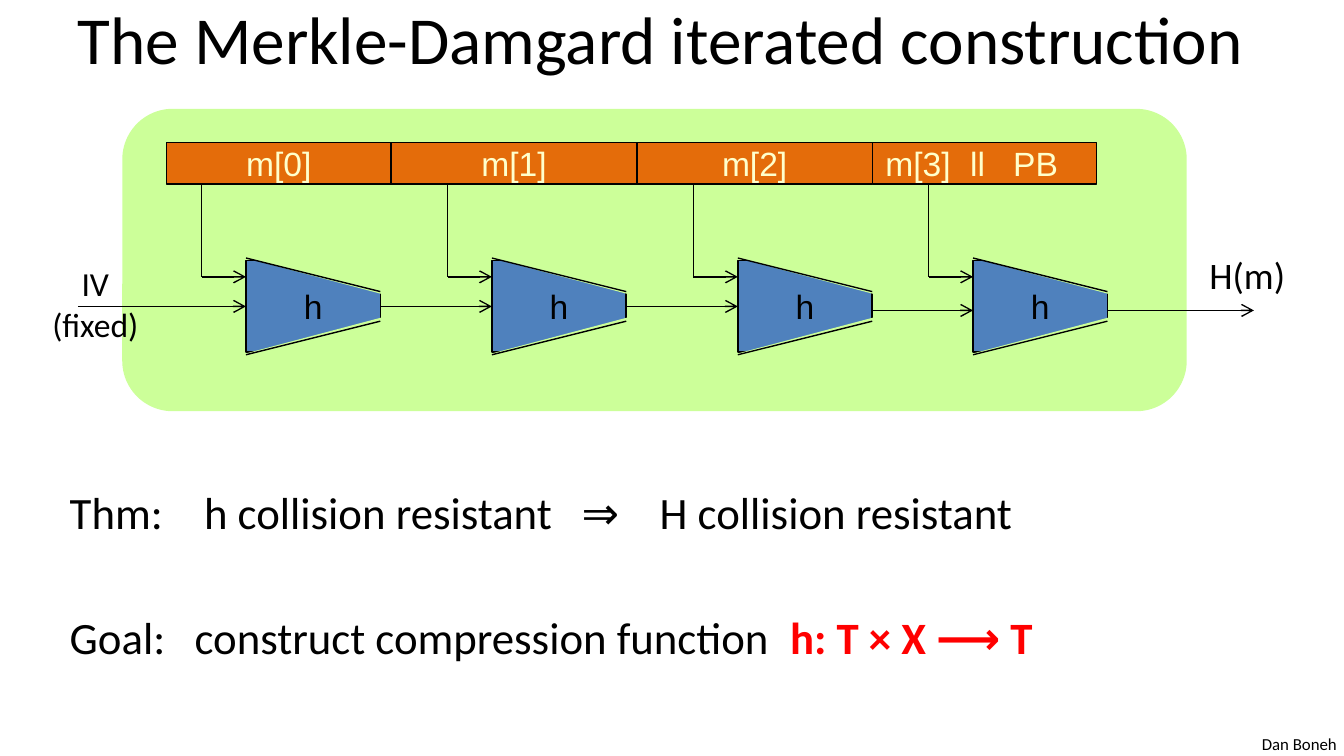
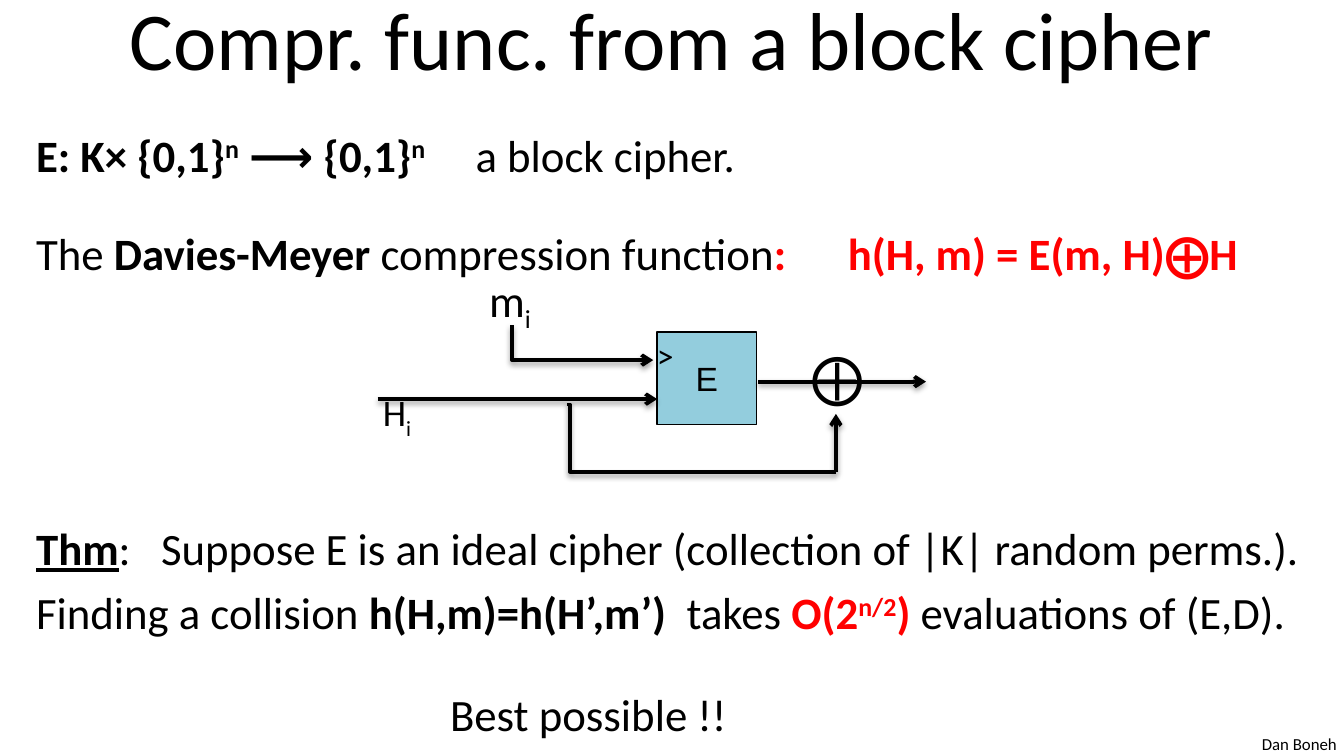
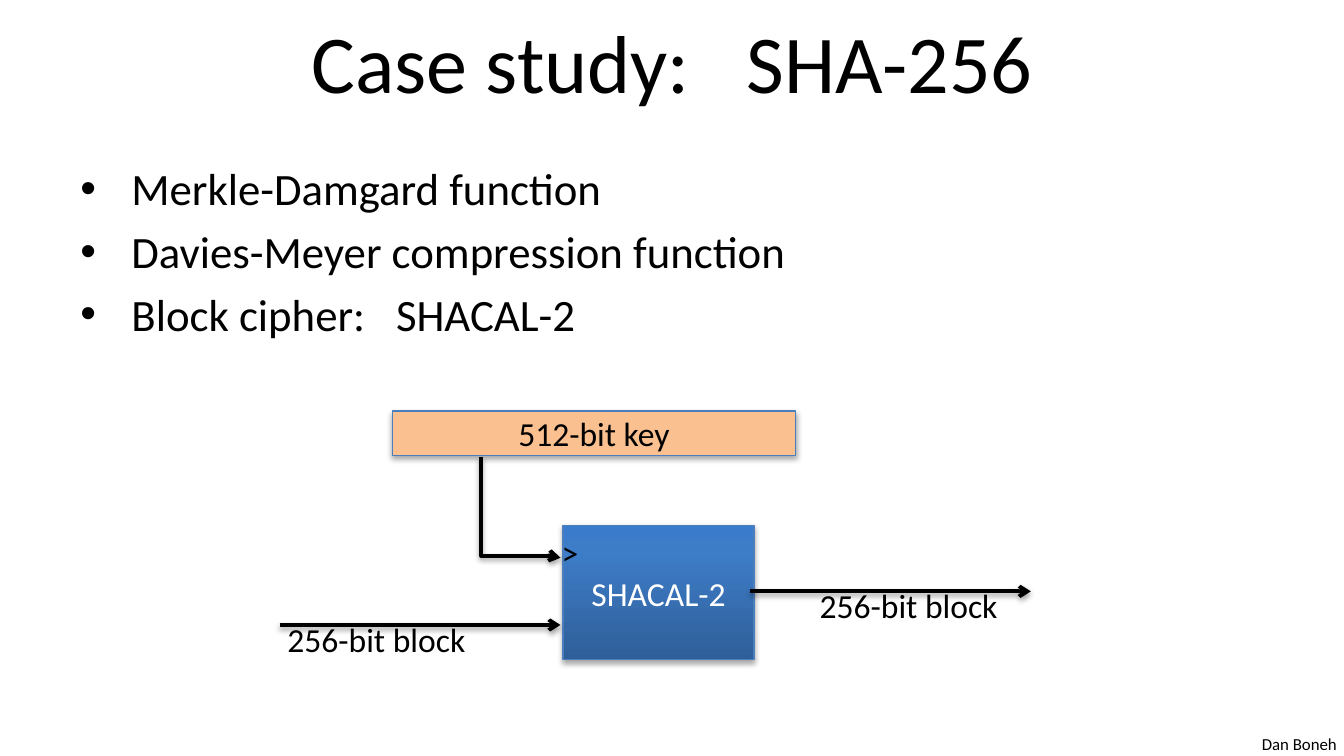
from copy import deepcopy
from dataclasses import dataclass
from itertools import accumulate
from typing import NamedTuple, Optional

from lxml.etree import SubElement
from pptx import Presentation
from pptx.dml.color import RGBColor
from pptx.enum.shapes import MSO_CONNECTOR as Link, MSO_SHAPE as Preset
from pptx.enum.text import MSO_ANCHOR as Anchor, MSO_AUTO_SIZE as AutoSize, PP_ALIGN as Align
from pptx.oxml.ns import qn
from pptx.util import Inches, Pt

COLORS = {
    "black": "000000", "white": "FFFFFF", "red": "FF0000",
    "panel": "CCFF99", "compress": "4F81BD", "message": "E46C0A", "cream": "FFFFCC",
    "cipher": "93CDDD", "key": "FAC090", "outline": "4B7EBC",
    "shade_low": "2F5F99", "shade_mid": "3D7CC7", "shade_high": "3A7CCB",
}
CIPHER_GRADIENT = [(0, "shade_low"), (0.8, "shade_mid"), (1, "shade_high")]
BODY_FONT, DIAGRAM_FONT = "Calibri", "Arial"
BODY_SIZE = 24


class Frame(NamedTuple):
    left: float
    top: float
    width: float
    height: float


class Point(NamedTuple):
    x: float
    y: float


class Span(NamedTuple):
    text: str
    bold: bool = False
    color: str = ""
    underline: bool = False
    shift: int = 0  # baseline shift in percent
    tracking: float = 0  # extra letter spacing in points


@dataclass
class Line:
    spans: list[Span]
    before: float = 0
    align: Align = Align.LEFT
    tabs: tuple[float, ...] = ()
    bullet: bool = False


@dataclass
class TextStyle:
    size: float = 18
    font: str = BODY_FONT
    color: str = "black"
    anchor: Anchor = Anchor.TOP
    wrap: bool = False


@dataclass
class BoxStyle:
    fill: str
    outline: Optional[str] = "black"
    shadow: bool = False


BODY = TextStyle(BODY_SIZE, wrap=True)


def rgb(name: str) -> RGBColor:
    return RGBColor.from_string(COLORS[name])


def plain(text: str, align: Align = Align.LEFT) -> list[Line]:
    return [Line([Span(text)], align=align)]


# Text
def add_tabs(props, stops: tuple[float, ...]) -> None:
    tab_list = SubElement(props, qn("a:tabLst"))
    for stop in stops:
        SubElement(tab_list, qn("a:tab"), pos=str(Inches(stop)), algn="l")


def add_bullet(props) -> None:
    indent = Inches(0.38)
    props.set("marL", str(indent))
    props.set("indent", str(-indent))
    SubElement(props, qn("a:buFont"), typeface="Arial")
    SubElement(props, qn("a:buChar"), char="•")


def write(frame, lines: list[Line], style: TextStyle) -> None:
    frame.word_wrap = style.wrap
    frame.vertical_anchor = style.anchor
    for index, line in enumerate(lines):
        para = frame.add_paragraph() if index else frame.paragraphs[0]
        para.alignment = line.align
        props = para._p.get_or_add_pPr()
        if line.bullet:
            add_bullet(props)
        if line.tabs:
            add_tabs(props, line.tabs)
        para.space_before = Pt(line.before)
        for part in line.spans:
            span = para.add_run()
            span.text = part.text
            span.font.name = style.font
            span.font.size = Pt(style.size)
            span.font.bold = part.bold
            span.font.underline = part.underline
            span.font.color.rgb = rgb(part.color or style.color)
            if part.shift:
                span._r.get_or_add_rPr().set("baseline", str(part.shift * 1000))
            if part.tracking:
                span._r.get_or_add_rPr().set("spc", str(round(part.tracking * 100)))


def add_text(page, area: Frame, lines: list[Line], style: TextStyle) -> None:
    box = page.shapes.add_textbox(*map(Inches, area))
    write(box.text_frame, lines, style)
    box.text_frame.auto_size = AutoSize.NONE if style.wrap else AutoSize.SHAPE_TO_FIT_TEXT


# Shapes and connectors
def set_effects(item, shadow: bool, opacity: int = 38) -> None:
    effects = item._element.spPr.find(qn("a:effectLst"))
    if effects is None:
        effects = SubElement(item._element.spPr, qn("a:effectLst"))
    if shadow:
        outer = SubElement(effects, qn("a:outerShdw"), blurRad=str(Pt(3.1)), dist=str(Pt(1.6)),
                           dir="5400000", rotWithShape="0")
        color = SubElement(outer, qn("a:srgbClr"), val=COLORS["black"])
        SubElement(color, qn("a:alpha"), val=str(opacity * 1000))


def add_box(page, area: Frame, style: BoxStyle, preset: Preset = Preset.RECTANGLE):
    box = page.shapes.add_shape(preset, *map(Inches, area))
    box.shadow.inherit = False
    box.fill.solid()
    box.fill.fore_color.rgb = rgb(style.fill)
    if style.outline:
        box.line.color.rgb = rgb(style.outline)
        box.line.width = Pt(0.75)
    else:
        box.line.fill.background()
    set_effects(box, style.shadow, 35)
    return box


def add_label_box(page, area: Frame, text: str, style: BoxStyle, font: str = DIAGRAM_FONT,
                  color: str = "black"):
    box = add_box(page, area, style)
    write(box.text_frame, plain(text, Align.CENTER),
          TextStyle(font=font, color=color, anchor=Anchor.MIDDLE))
    return box


def finish_line(line, width: float, arrow: bool, shadow: bool) -> None:
    line.line.color.rgb = rgb("black")
    line.line.width = Pt(width)
    if arrow:
        SubElement(line.line._get_or_add_ln(), qn("a:tailEnd"), type="arrow")
    set_effects(line, shadow)


def add_line(page, start: Point, end: Point, arrow: bool = False, heavy: bool = False):
    line = page.shapes.add_connector(Link.STRAIGHT, *map(Inches, start + end))
    finish_line(line, 2 if heavy else 0.75, arrow, heavy)
    return line


def add_elbow(page, start: Point, end: Point, bend: Optional[float] = None,
              downward: bool = False, arrow: bool = False) -> None:
    """A bend of None makes a single corner; downward leaves the start vertically."""
    if downward:  # a quarter turn about the centre swaps width and height
        mid = Point((start.x + end.x) / 2, (start.y + end.y) / 2)
        half = Point((end.y - start.y) / 2, (end.x - start.x) / 2)
        start = Point(mid.x - half.x, mid.y - half.y)
        end = Point(mid.x + half.x, mid.y + half.y)
    line = page.shapes.add_connector(Link.ELBOW, *map(Inches, start + end))
    props = line._element.spPr
    if downward:
        transform = props.find(qn("a:xfrm"))
        transform.set("rot", "16200000")
        transform.set("flipH", "1")
    geometry = props.find(qn("a:prstGeom"))
    if bend is None:
        geometry.set("prst", "bentConnector2")
    else:
        SubElement(geometry.find(qn("a:avLst")), qn("a:gd"), name="adj1",
                   fmla=f"val {round(bend * 100000)}")
    finish_line(line, 2, arrow, True)


# Shared slide parts
def add_page(deck, title: list[Span], area: Frame, size: float = 44):
    page = deck.slides.add_slide(deck.slide_layouts[6])
    add_text(page, Frame(9.29, 5.41, 0.76, 0.25), plain("Dan Boneh"), TextStyle(9))
    add_text(page, area, [Line(title, align=Align.CENTER)],
             TextStyle(size, anchor=Anchor.MIDDLE, wrap=True))
    return page


# Slide 1: chain of compression functions
def cut_corner(page, left: float, lower: bool) -> None:
    """Trims a compression box to a trapezoid, with a sloping edge."""
    mask = add_box(page, Frame(left, 2.32 if lower else 1.92, 1.17, 0.31),
                   BoxStyle("panel", None), Preset.RIGHT_TRIANGLE)
    transform = mask._element.spPr.find(qn("a:xfrm"))
    transform.set("flipH", "1")
    if not lower:
        transform.set("flipV", "1")
    outer, inner = (2.64, 2.39) if lower else (1.92, 2.17)
    add_line(page, Point(left, outer), Point(left + 1, inner))


def build_iteration(deck) -> None:
    page = add_page(deck, [Span("The Merkle-Damgard iterated construction")],
                    Frame(0.08, -0.19, 9.67, 0.94), 36)
    add_text(page, Frame(0.42, 3.56, 8.92, 1.5), [
        Line([Span("Thm:\th collision resistant\t⇒\tH collision resistant")],
             tabs=(1.0, 3.81, 4.39)),
        Line([Span("Goal:\tconstruct compression function\t"),
              Span("h: T × X ⟶ T", bold=True, color="red")], before=38, tabs=(0.93, 5.36)),
    ], BODY)
    add_box(page, Frame(0.91, 0.81, 7.92, 2.25), BoxStyle("panel", None),
            Preset.ROUNDED_RECTANGLE)

    stage_lefts = [1.83, 3.66, 5.49, 7.24]
    stages = [add_label_box(page, Frame(left, 1.94, 1, 0.68), "h", BoxStyle("compress"))
              for left in stage_lefts]

    # Message blocks
    widths = [1.67, 1.83, 1.75, 1.67]
    block_lefts = list(accumulate(widths[:-1], initial=1.24))
    blocks = [Frame(left, 1.06, width, 0.31) for left, width in zip(block_lefts, widths)]
    for index, area in enumerate(blocks[:-1]):
        add_label_box(page, area, f"m[{index}]", BoxStyle("message"), color="cream")
    last = add_box(page, blocks[-1], BoxStyle("message"))
    write(last.text_frame, [Line([Span("m[3]\tll\tPB")], tabs=(0.63, 0.95))],
          TextStyle(font=DIAGRAM_FONT, color="cream", anchor=Anchor.MIDDLE, wrap=True))

    # Inputs, chaining values and output
    first_input = add_line(page, Point(0.58, 2.28), Point(1.83, 2.28), arrow=True)
    first_input.end_connect(stages[0], 1)
    add_text(page, Frame(0.28, 1.91, 0.86, 0.71),
             plain("IV", Align.CENTER) + plain("(fixed)", Align.CENTER), TextStyle())
    for left in stage_lefts:
        corner = Point(left - 0.33, 2.06)
        add_line(page, Point(corner.x, 1.38), corner)
        add_line(page, corner, Point(left, corner.y), arrow=True)
    for index in range(2):
        link = add_line(page, Point(stage_lefts[index] + 1, 2.28),
                        Point(stage_lefts[index + 1], 2.28), arrow=True)
        link.begin_connect(stages[index], 3)
        link.end_connect(stages[index + 1], 1)
    for start, end in [(6.49, 7.24), (8.24, 9.33)]:
        add_line(page, Point(start, 2.31), Point(end, 2.31), arrow=True)
    add_text(page, Frame(8.9, 1.83, 0.77, 0.44), plain("H(m)"), TextStyle(20))

    for left in stage_lefts:
        for lower in (False, True):
            cut_corner(page, left, lower)


# Slide 2: Davies-Meyer
def add_indexed(page, area: Frame, letter: str, size: float) -> None:
    add_text(page, area, [Line([Span(letter), Span("i", shift=-25)])], TextStyle(size))


def build_davies_meyer(deck) -> None:
    page = add_page(deck, [Span("Compr. func. from a block cipher")],
                    Frame(0.5, -0.19, 9, 0.94))
    power = Span("n", bold=True, shift=30)
    add_text(page, Frame(0.17, 0.9, 9.75, 4.08), [
        Line([Span("E: K× {0,1}", bold=True), power, Span(" ⟶ {0,1}", bold=True), power,
              Span("\ta block cipher.")], tabs=(3.27,)),
        Line([Span("The "), Span("Davies-Meyer ", bold=True), Span("compression function"),
              Span(":\th(H, m) = E(m, H)⨁H", bold=True, color="red")],
             before=23.8, tabs=(6.04,)),
        Line([Span("Thm", bold=True, underline=True),
              Span(":\tSuppose E is an ideal cipher (collection of |K| random perms.).")],
             before=129, tabs=(0.93,)),
        Line([Span("Finding a collision "), Span("h(H,m)=h(H’,m’)\t", bold=True),
              Span("takes "), Span("O(2", bold=True, color="red"),
              Span("n/2", bold=True, color="red", shift=30),
              Span(") ", bold=True, color="red"), Span("evaluations of (E,D).")],
             before=5.8, tabs=(4.84,)),
    ], BODY)

    # Cipher diagram
    add_label_box(page, Frame(4.89, 2.47, 0.74, 0.69), "E", BoxStyle("cipher"))
    add_text(page, Frame(4.79, 2.44, 0.33, 0.4), plain(">"), TextStyle())
    add_indexed(page, Frame(3.54, 1.98, 0.52, 0.5), "m", 24)
    add_elbow(page, Point(3.81, 2.42), Point(4.86, 2.68), downward=True, arrow=True)
    add_line(page, Point(2.81, 2.97), Point(4.89, 2.97), arrow=True, heavy=True)
    add_indexed(page, Frame(2.75, 2.85, 0.42, 0.44), "H", 20)
    add_line(page, Point(5.64, 2.84), Point(6.89, 2.84), arrow=True, heavy=True)
    add_text(page, Frame(5.94, 2.51, 0.55, 0.57), plain("⨁"), TextStyle(28))
    add_elbow(page, Point(4.22, 3.01), Point(6.22, 3.51), bend=0.01)
    add_line(page, Point(6.22, 3.51), Point(6.22, 3.08), arrow=True, heavy=True)
    add_text(page, Frame(3.25, 5.06, 2.28, 0.5), plain("Best possible !!"), TextStyle(BODY_SIZE))


# Slide 3: SHA-256
def shade(box) -> None:
    box.fill.gradient()
    box.fill.gradient_angle = 90
    stop_list = box._element.spPr.find(".//" + qn("a:gsLst"))
    stop_list.append(deepcopy(stop_list[0]))
    for stop, (position, color) in zip(box.fill.gradient_stops, CIPHER_GRADIENT):
        stop.position = position
        stop.color.rgb = rgb(color)


def spread(term: str, name: str, gap: float) -> list[Span]:
    """A term and a name, with the space between them widened."""
    return [Span(term), Span(" ", tracking=gap), Span(name)]


def build_case_study(deck) -> None:
    page = add_page(deck, spread("Case study:", "SHA-256", 20), Frame(0.5, -0.02, 9, 0.94))
    points = [[Span("Merkle-Damgard function")], [Span("Davies-Meyer compression function")],
              spread("Block cipher:", "SHACAL-2", 11)]
    add_text(page, Frame(0.5, 1.15, 9, 4.48),
             [Line(point, before=4.8 if index else 0, bullet=True)
              for index, point in enumerate(points)], BODY)

    # Cipher diagram
    add_label_box(page, Frame(2.92, 3.06, 3, 0.33), "512-bit key",
                  BoxStyle("key", "outline", True), BODY_FONT)
    cipher = add_label_box(page, Frame(4.19, 3.91, 1.42, 1), "SHACAL-2",
                           BoxStyle("compress", "outline", True), BODY_FONT, "white")
    shade(cipher)
    add_text(page, Frame(4.08, 3.91, 0.33, 0.4), plain(">"), TextStyle())
    add_elbow(page, Point(3.58, 3.4), Point(4.17, 4.15), bend=0.98, downward=True, arrow=True)
    for start, end, label in [
        (Point(2.08, 4.65), Point(4.17, 4.65), Point(2.04, 4.56)),
        (Point(5.58, 4.4), Point(7.67, 4.4), Point(6, 4.3)),
    ]:
        add_line(page, start, end, arrow=True, heavy=True)
        add_text(page, Frame(label.x, label.y, 1.54, 0.4), plain("256-bit block"), TextStyle())


def main() -> None:
    deck = Presentation()
    deck.slide_width = Inches(10)
    deck.slide_height = deck.slide_width * 9 // 16
    build_iteration(deck)
    build_davies_meyer(deck)
    build_case_study(deck)
    deck.save("out.pptx")


if __name__ == "__main__":
    main()
